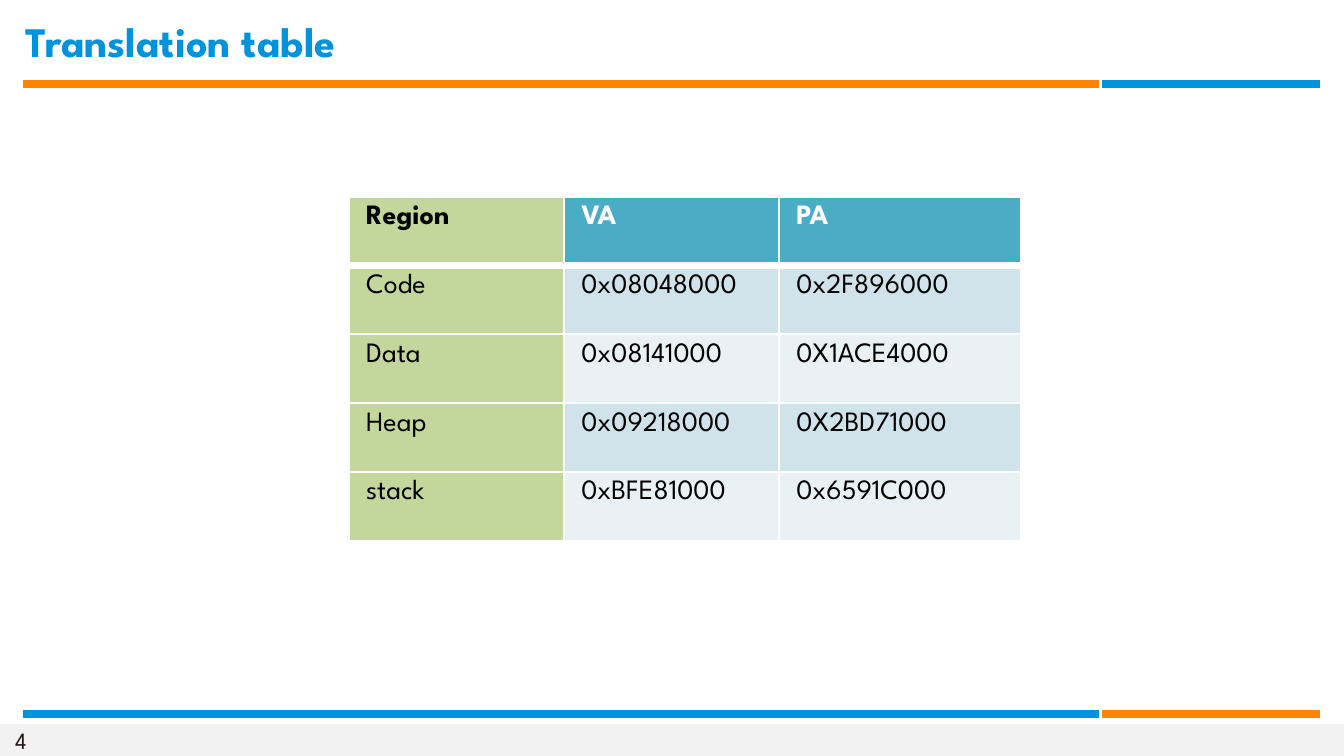
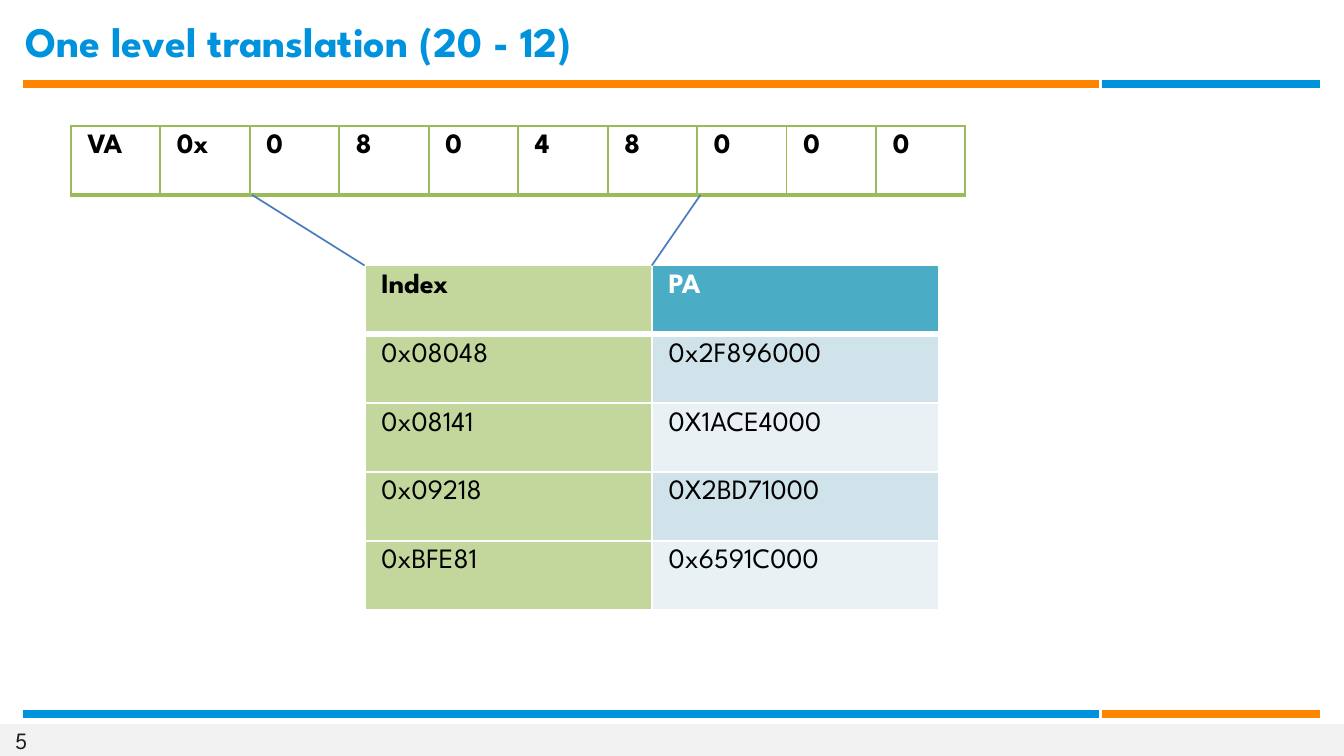
from lxml.etree import SubElement
from pptx import Presentation
from pptx.dml.color import RGBColor
from pptx.enum.shapes import MSO_CONNECTOR as CONN, MSO_SHAPE as SHAPE
from pptx.enum.text import MSO_ANCHOR as ANCHOR, PP_ALIGN as ALIGN
from pptx.oxml.ns import qn
from pptx.util import Inches, Pt

FONT = "League Spartan"
C = {
    "blue": "0093DD", "orange": "FF8500", "band": "F2F2F2", "number": "1F1A17",
    "black": "000000", "white": "FFFFFF", "key": "C3D69B", "head": "4BACC6",
    "odd": "D0E3EA", "even": "E9F1F5", "green": "9BBB59", "link": "4B7EBC",
}
ROW_H = 0.41
PHYSICAL = ["0x2F896000", "0X1ACE4000", "0X2BD71000", "0x6591C000"]


def rgb(name):
    """Return the named colour."""
    return RGBColor.from_string(C[name])


def inches(*values):
    """Convert several lengths to inches."""
    return [Inches(v) for v in values]


def style(p, size, color, bold=False):
    """Format every run of a paragraph."""
    for r in p.runs:
        f = r.font
        f.name, f.size, f.bold = FONT, Pt(size), bold
        f.color.rgb = rgb(color)


def add_line(s, start, end, color, width):
    """Draw a straight line without a shadow."""
    ln = s.shapes.add_connector(CONN.STRAIGHT, *inches(*start, *end))
    ln.line.color.rgb = rgb(color)
    ln.line.width = Pt(width)
    SubElement(ln._element.spPr, qn("a:effectLst"))


def add_rule(s, y, long_color, short_color):
    """Draw a two-colour rule across the slide."""
    add_line(s, (0.14, y), (6.54, y), long_color, 3)
    add_line(s, (6.56, y), (7.86, y), short_color, 3)


def add_title(s, text, box):
    """Place and format the title placeholder."""
    sp = s.shapes.title
    sp.left, sp.top, sp.width, sp.height = inches(*box)
    tf = sp.text_frame
    tf.text = text
    tf.vertical_anchor = ANCHOR.MIDDLE
    tf.margin_left = tf.margin_right = Inches(0.07)
    tf.margin_top = tf.margin_bottom = Inches(0.04)
    p = tf.paragraphs[0]
    p.alignment = ALIGN.LEFT
    style(p, 18, "blue", True)


def add_footer(s, number, box):
    """Draw the footer band with the slide number."""
    x, y, w, h = box
    band = s.shapes.add_shape(SHAPE.RECTANGLE, *inches(x, y, w, h))
    band.shadow.inherit = False
    band.fill.solid()
    band.fill.fore_color.rgb = rgb("band")
    band.line.fill.background()
    tf = s.shapes.add_textbox(*inches(x + 0.09, y + 0.01, 0.17, 0.17)).text_frame
    tf.margin_left = tf.margin_right = tf.margin_top = tf.margin_bottom = 0
    tf.word_wrap = False
    tf.vertical_anchor = ANCHOR.MIDDLE
    tf.text = str(number)
    style(tf.paragraphs[0], 10, "number")


def set_borders(cell, color, widths):
    """Set the left, right, top and bottom borders of a cell."""
    tcPr = cell._tc.get_or_add_tcPr()
    for side, width in zip("LRTB", widths):
        ln = SubElement(tcPr, qn(f"a:ln{side}"), w=str(Pt(width)))
        fill = SubElement(ln, qn("a:solidFill"))
        SubElement(fill, qn("a:srgbClr"), val=C[color])


def add_table(s, origin, widths, rows):
    """Add an empty-styled table and return its cells row by row."""
    shape = s.shapes.add_table(
        len(rows), len(widths), *inches(*origin, sum(widths), ROW_H * len(rows)))
    table = shape.table
    for col, width in zip(table.columns, widths):
        col.width = Inches(width)
    for row, texts in zip(table.rows, rows):
        row.height = Inches(ROW_H)
        for cell, text in zip(row.cells, texts):
            cell.text = text
    return [list(row.cells) for row in table.rows]


def add_lookup(s, origin, widths, rows):
    """Add a lookup table with a green key column and banded values."""
    for i, row in enumerate(add_table(s, origin, widths, rows)):
        for j, cell in enumerate(row):
            set_borders(cell, "white", (1, 1, 3 if i == 1 else 1, 3 if i == 0 else 1))
            band = "head" if i == 0 else "odd" if i % 2 else "even"
            cell.fill.solid()
            cell.fill.fore_color.rgb = rgb("key" if j == 0 else band)
            color = "white" if i == 0 and j else "black"
            style(cell.text_frame.paragraphs[0], 12, color, i == 0)


def add_address(s, origin, width, digits):
    """Add the virtual address as a row of outlined cells."""
    for cell in add_table(s, origin, [width] * len(digits), [digits])[0]:
        set_borders(cell, "green", (1, 1, 1, 2))
        cell.fill.background()
        style(cell.text_frame.paragraphs[0], 12, "black", True)


def add_slide(prs, title, number):
    """Add a slide with the shared title, rules and footer."""
    s = prs.slides.add_slide(prs.slide_layouts[5])
    add_footer(s, number, (0, 4.31, 8, 0.19))
    add_rule(s, 0.5, "orange", "blue")
    add_rule(s, 4.25, "blue", "orange")
    add_title(s, title, (0.08, 0.07, 7.17, 0.35))
    return s


def table_slide(prs):
    """Build the slide that maps regions to addresses."""
    s = add_slide(prs, "Translation table", 4)
    regions = ["Code", "Data", "Heap", "stack"]
    virtual = ["0x08048000", "0x08141000", "0x09218000", "0xBFE81000"]
    rows = [("Region", "VA", "PA"), *zip(regions, virtual, PHYSICAL)]
    add_lookup(s, (2.08, 1.17), (1.28, 1.28, 1.44), rows)


def one_level_slide(prs):
    """Build the slide that splits an address into index and offset."""
    s = add_slide(prs, "One level translation (20 - 12)", 5)
    x, y, w = 2.17, 1.58, 1.71
    index = ["0x08048", "0x08141", "0x09218", "0xBFE81"]
    add_lookup(s, (x, y), (w, w), [("Index", "PA"), *zip(index, PHYSICAL)])
    add_address(s, (0.42, 0.75), 0.533, ["VA", "0x", *"08048000"])
    add_line(s, (1.5, 1.16), (x, y), "link", 0.75)
    add_line(s, (4.17, 1.16), (x + w, y), "link", 0.75)


def main():
    """Build and save the presentation."""
    prs = Presentation()
    prs.slide_width, prs.slide_height = inches(8, 4.5)
    table_slide(prs)
    one_level_slide(prs)
    prs.save("out.pptx")


if __name__ == "__main__":
    main()
